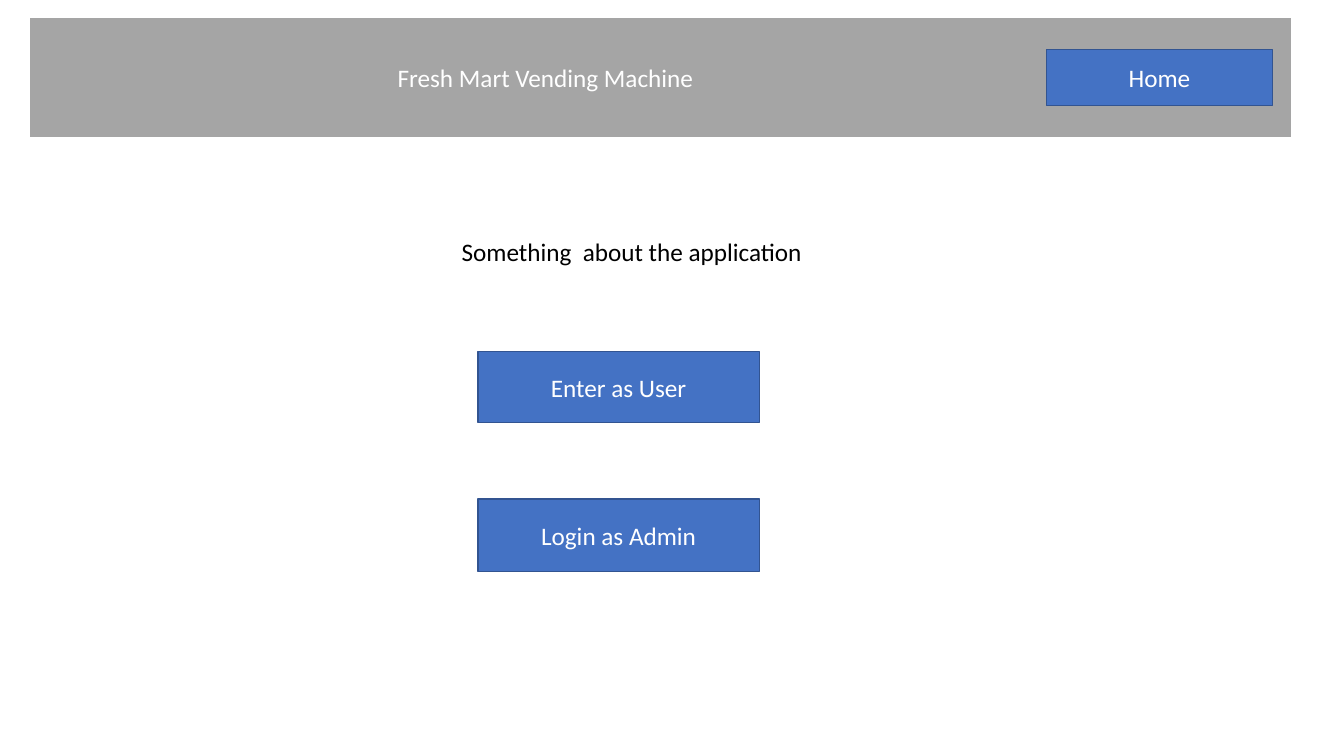
from pptx import Presentation
from pptx.dml.color import RGBColor
from pptx.enum.shapes import MSO_SHAPE
from pptx.enum.text import MSO_ANCHOR, MSO_AUTO_SIZE, PP_ALIGN
from pptx.util import Inches, Pt

RECTANGLE = MSO_SHAPE.RECTANGLE
MIDDLE, TOP = MSO_ANCHOR.MIDDLE, MSO_ANCHOR.TOP
CENTER, LEFT = PP_ALIGN.CENTER, PP_ALIGN.LEFT
NO_FIT = MSO_AUTO_SIZE.NONE
TITLE_ONLY = 5

WHITE, BLACK, GRAY = "FFFFFF", "000000", "A5A5A5"
BLUE, DARK_BLUE = "4472C4", "325491"


def color(value):
    return RGBColor.from_string(value)


class ScreenMockup:
    font_name = "Calibri"
    font_size = Pt(18)

    def __init__(self, page):
        self.page = page

    def set_text(self, box, text, ink, align, anchor):
        frame = box.text_frame
        frame.word_wrap = True
        frame.auto_size = NO_FIT
        frame.vertical_anchor = anchor
        frame.text = text
        para = frame.paragraphs[0]
        para.alignment = align
        para.font.name = self.font_name
        para.font.size = self.font_size
        para.font.color.rgb = color(ink)

    def paint(self, box, fill, line, width):
        box.fill.solid()
        box.fill.fore_color.rgb = color(fill)
        box.line.color.rgb = color(line)
        box.line.width = Pt(width)

    def banner(self, text, left, top, width, height, right_inset):
        title = self.page.shapes.title
        title.left, title.top = Inches(left), Inches(top)
        title.width, title.height = Inches(width), Inches(height)
        self.paint(title, GRAY, WHITE, 1.5)
        self.set_text(title, text, WHITE, CENTER, MIDDLE)
        title.text_frame.margin_right = Inches(right_inset)

    def button(self, text, left, top, width, height):
        box = self.page.shapes.add_shape(
            RECTANGLE, Inches(left), Inches(top), Inches(width), Inches(height))
        box.shadow.inherit = False
        self.paint(box, BLUE, DARK_BLUE, 1)
        self.set_text(box, text, WHITE, CENTER, MIDDLE)

    def label(self, text, left, top, width, height):
        box = self.page.shapes.add_textbox(
            Inches(left), Inches(top), Inches(width), Inches(height))
        self.set_text(box, text, BLACK, LEFT, TOP)


deck = Presentation()
deck.slide_width, deck.slide_height = Inches(13.33), Inches(7.5)
page = deck.slides.add_slide(deck.slide_layouts[TITLE_ONLY])

home_screen = ScreenMockup(page)
home_screen.banner("Fresh Mart Vending Machine", 0.29, 0.17, 12.52, 1.2, 2.38)
home_screen.button("Home", 10.38, 0.49, 2.24, 0.56)
home_screen.label("Something  about the application", 4.48, 2.3, 4.38, 0.4)
for text, top, height in (("Enter as User", 3.49, 0.7), ("Login as Admin", 4.95, 0.72)):
    home_screen.button(text, 4.74, top, 2.79, height)

deck.save("out.pptx")
